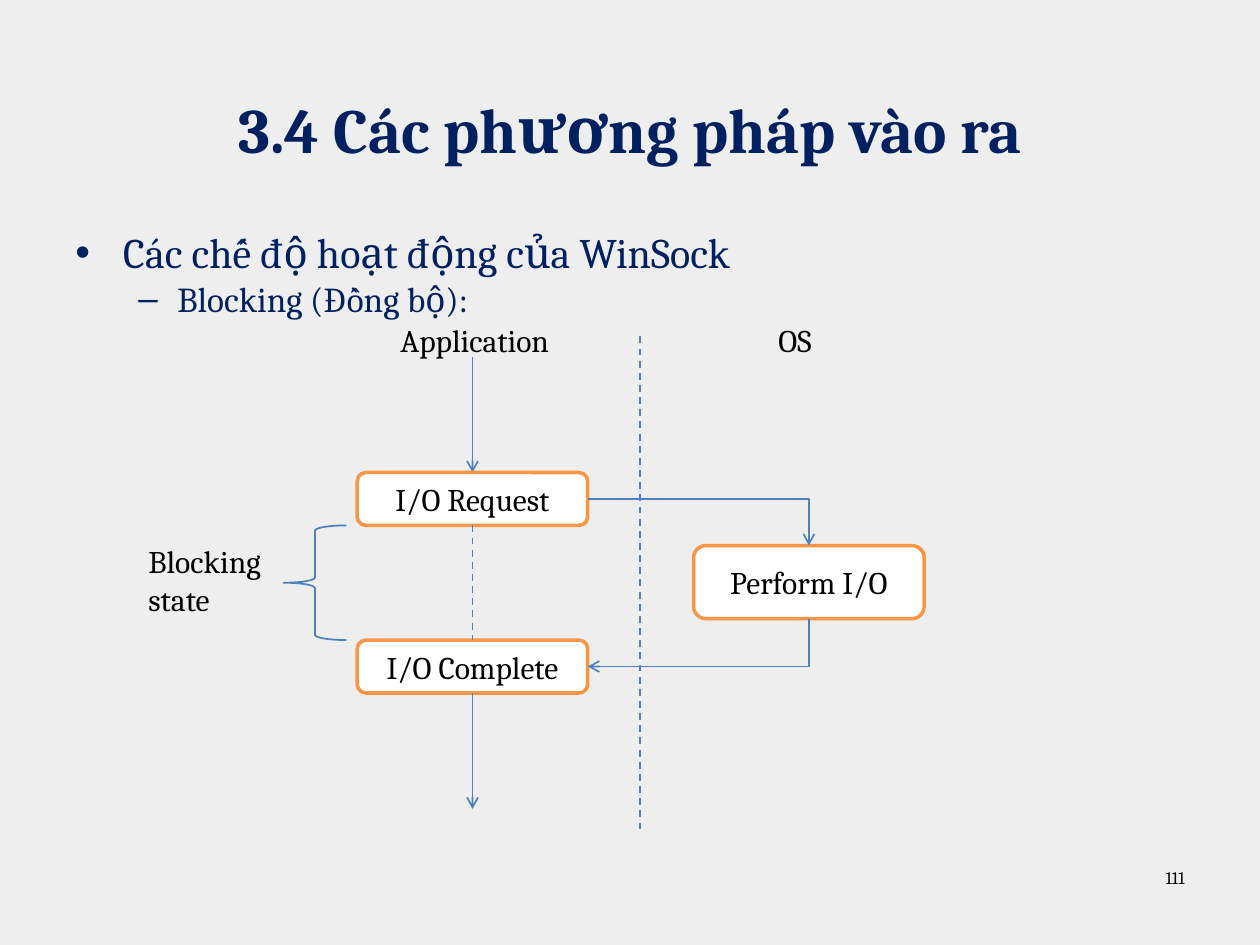
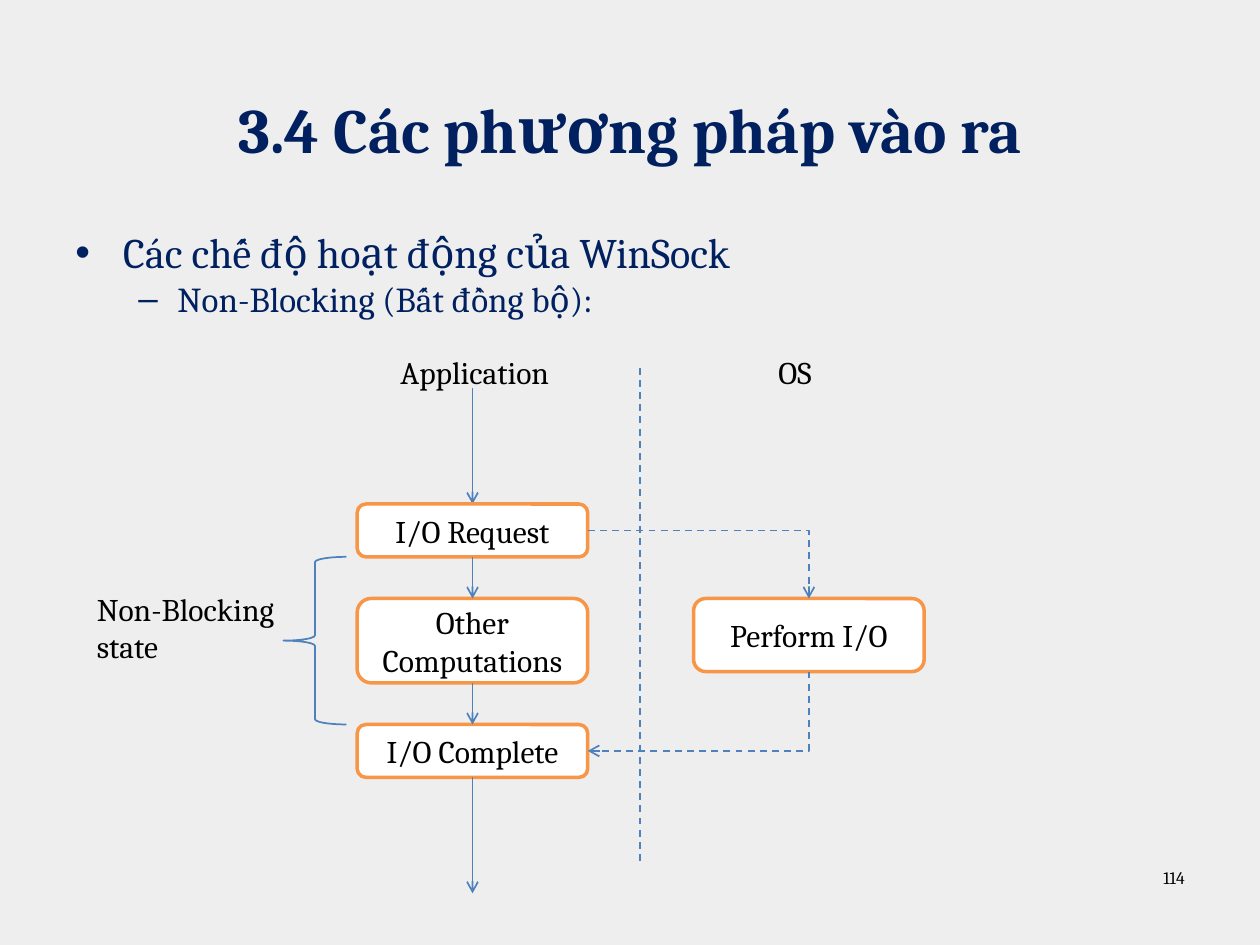
from lxml.etree import SubElement
from pptx import Presentation
from pptx.dml.color import RGBColor
from pptx.enum.dml import MSO_LINE_DASH_STYLE as Dash
from pptx.enum.shapes import MSO_CONNECTOR as Link, MSO_SHAPE as Shape
from pptx.enum.text import MSO_ANCHOR as Anchor, PP_ALIGN as Align
from pptx.oxml.ns import qn
from pptx.util import Inches, Pt

NAVY, BLACK, WHITE = "002060", "000000", "FFFFFF"
BLUE, ORANGE, PAPER = "4F81BD", "F79646", "EEEEEE"

APP_X, OS_X, DIVIDER_X = 3.75, 6.42, 5.08
STEP_W, STEP_H, PERFORM_H = 1.83, 0.42, 0.58
FLOW_ARROW = 0.92


def rgb(hex_color):
    return RGBColor.from_string(hex_color)


class Deck:
    font = "Cambria"

    def __init__(self):
        self.prs = Presentation()
        self.prs.slide_width, self.prs.slide_height = Inches(10), Inches(7.5)
        self.slide = None

    def new_slide(self, mode, number):
        self.slide = self.prs.slides.add_slide(self.prs.slide_layouts[6])
        background = self.slide.background.fill
        background.solid()
        background.fore_color.rgb = rgb(PAPER)
        self.text(0.5, 0.39, 9, 1.25, "3.4 Các phương pháp vào ra", 36, NAVY,
                  Align.CENTER, Anchor.MIDDLE, bold=True)
        self.outline([("Các chế độ hoạt động của WinSock", "•", 24, 0.38, 0.38),
                      (mode, "–", 20, 0.81, 0.31)])
        self.text(7.17, 6.83, 2.33, 0.52, number, 10, align=Align.RIGHT)

    def run(self, paragraph, words, size, color, bold=False):
        run = paragraph.add_run()
        run.text = words
        run.font.name, run.font.size, run.font.bold = self.font, Pt(size), bold
        run.font.color.rgb = rgb(color)

    def frame(self, left, top, width, height):
        box = self.slide.shapes.add_textbox(*map(Inches, (left, top, width, height)))
        box.text_frame.word_wrap = True
        return box.text_frame

    def text(self, left, top, width, height, words, size=18, color=BLACK,
             align=Align.LEFT, anchor=Anchor.TOP, bold=False):
        frame = self.frame(left, top, width, height)
        frame.vertical_anchor = anchor
        paragraph = frame.paragraphs[0]
        paragraph.alignment = align
        self.run(paragraph, words, size, color, bold)

    def outline(self, items):
        frame = self.frame(0.5, 1.75, 9, 4.95)
        for i, (words, mark, size, margin, hang) in enumerate(items):
            paragraph = frame.add_paragraph() if i else frame.paragraphs[0]
            props = paragraph._p.get_or_add_pPr()
            props.set("marL", str(Inches(margin)))
            props.set("indent", str(-Inches(hang)))
            SubElement(props, qn("a:buFont")).set("typeface", "Arial")
            SubElement(props, qn("a:buChar")).set("char", mark)
            self.run(paragraph, words, size, NAVY)

    def step(self, center_x, top, height, *lines):
        """Draw a rounded box with one centred paragraph per line."""
        box = self.slide.shapes.add_shape(
            Shape.ROUNDED_RECTANGLE, Inches(center_x - STEP_W / 2), Inches(top),
            Inches(STEP_W), Inches(height))
        box.shadow.inherit = False
        box.fill.solid()
        box.fill.fore_color.rgb = rgb(WHITE)
        box.line.color.rgb, box.line.width = rgb(ORANGE), Pt(2)
        frame = box.text_frame
        frame.word_wrap, frame.vertical_anchor = True, Anchor.MIDDLE
        for i, words in enumerate(lines):
            paragraph = frame.add_paragraph() if i else frame.paragraphs[0]
            paragraph.alignment = Align.CENTER
            self.run(paragraph, words, 18, BLACK)

    def brace(self, top, bottom):
        brace = self.slide.shapes.add_shape(
            Shape.LEFT_BRACE, Inches(2.25), Inches(top), Inches(0.5), Inches(bottom - top))
        brace.shadow.inherit = False
        brace.fill.background()
        brace.line.color.rgb, brace.line.width = rgb(BLUE), Pt(1)

    def connector(self, kind, x1, y1, x2, y2, dashed, arrow):
        link = self.slide.shapes.add_connector(kind, *map(Inches, (x1, y1, x2, y2)))
        link.line.color.rgb, link.line.width = rgb(BLUE), Pt(1)
        if dashed:
            link.line.dash_style = Dash.DASH
        props = link._element.spPr
        if arrow:
            SubElement(props.find(qn("a:ln")), qn("a:tailEnd")).set("type", "arrow")
        SubElement(props, qn("a:effectLst"))
        return props

    def vertical(self, x, top, bottom, dashed=False, arrow=True):
        self.connector(Link.STRAIGHT, x, top, x, bottom, dashed, arrow)

    def elbow(self, x1, y1, x2, y2, dashed, turned=False):
        """Draw a one-corner arrow; a turned one runs down, then left."""
        if turned:
            mid_x, mid_y = (x1 + x2) / 2, (y1 + y2) / 2
            half_w, half_h = (y2 - y1) / 2, (x1 - x2) / 2
            x1, x2 = mid_x - half_w, mid_x + half_w
            y1, y2 = mid_y - half_h, mid_y + half_h
        props = self.connector(Link.ELBOW, x1, y1, x2, y2, dashed, True)
        props.find(qn("a:prstGeom")).set("prst", "bentConnector2")
        if turned:
            props.find(qn("a:xfrm")).set("rot", str(90 * 60000))

    def io_flow(self, top, perform_top, complete_top, dashed_calls):
        """Draw both lanes and return the span between request and completion."""
        request_top = top + 1.25
        request_end, complete_end = request_top + STEP_H, complete_top + STEP_H
        app_edge = APP_X + STEP_W / 2
        self.vertical(DIVIDER_X, top + 0.17, top + 4.08, dashed=True, arrow=False)
        self.text(3.08, top, 1.75, 0.4, "Application")
        self.text(6.08, top, 0.92, 0.4, "OS")
        self.vertical(APP_X, request_top - FLOW_ARROW, request_top)
        self.step(APP_X, request_top, STEP_H, "I/O Request")
        self.step(APP_X, complete_top, STEP_H, "I/O Complete")
        self.vertical(APP_X, complete_end, complete_end + FLOW_ARROW)
        self.brace(request_end, complete_top)
        self.step(OS_X, perform_top, PERFORM_H, "Perform I/O")
        self.elbow(app_edge, request_top + STEP_H / 2, OS_X, perform_top, dashed_calls)
        self.elbow(OS_X, perform_top + PERFORM_H, app_edge, complete_top + STEP_H / 2,
                   dashed_calls, turned=True)
        return request_end, complete_top


def blocking_slide(deck):
    deck.new_slide("Blocking (Đồng bộ):", "111")
    wait_start, wait_end = deck.io_flow(2.5, 4.33, 5.08, dashed_calls=False)
    deck.vertical(APP_X, wait_start, wait_end, dashed=True, arrow=False)
    deck.text(1.08, 4.25, 1.17, 0.71, "Blocking state")


def non_blocking_slide(deck):
    deck.new_slide("Non-Blocking (Bất đồng bộ):", "114")
    work_top, work_h = 4.75, 0.67
    free_start, free_end = deck.io_flow(2.75, work_top, 5.75, dashed_calls=True)
    deck.text(0.67, 4.63, 1.75, 0.71, "Non-Blocking state")
    deck.step(APP_X, work_top, work_h, "Other", "Computations")
    deck.vertical(APP_X, free_start, work_top)
    deck.vertical(APP_X, work_top + work_h, free_end)


def main():
    deck = Deck()
    blocking_slide(deck)
    non_blocking_slide(deck)
    deck.prs.save("out.pptx")


if __name__ == "__main__":
    main()
